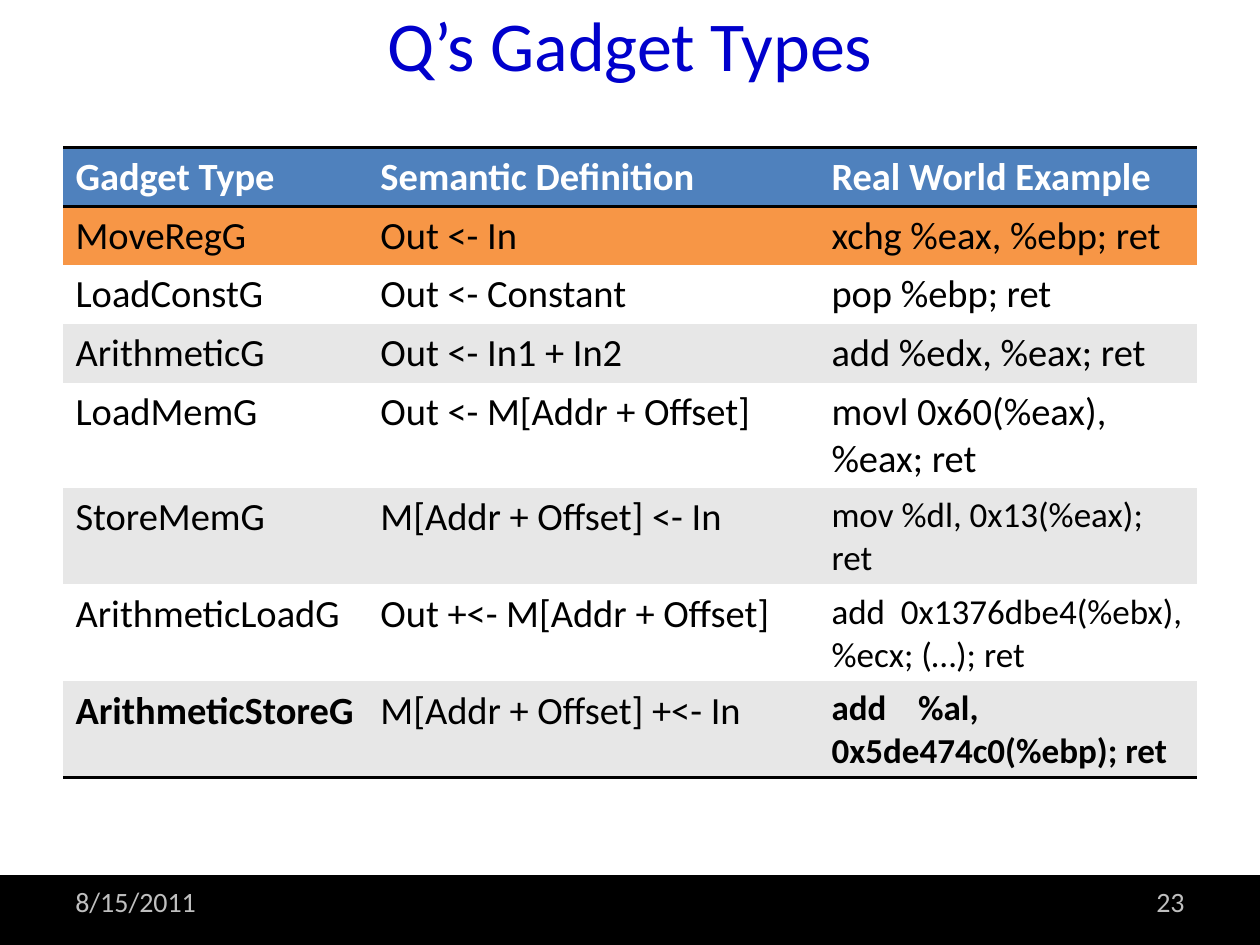
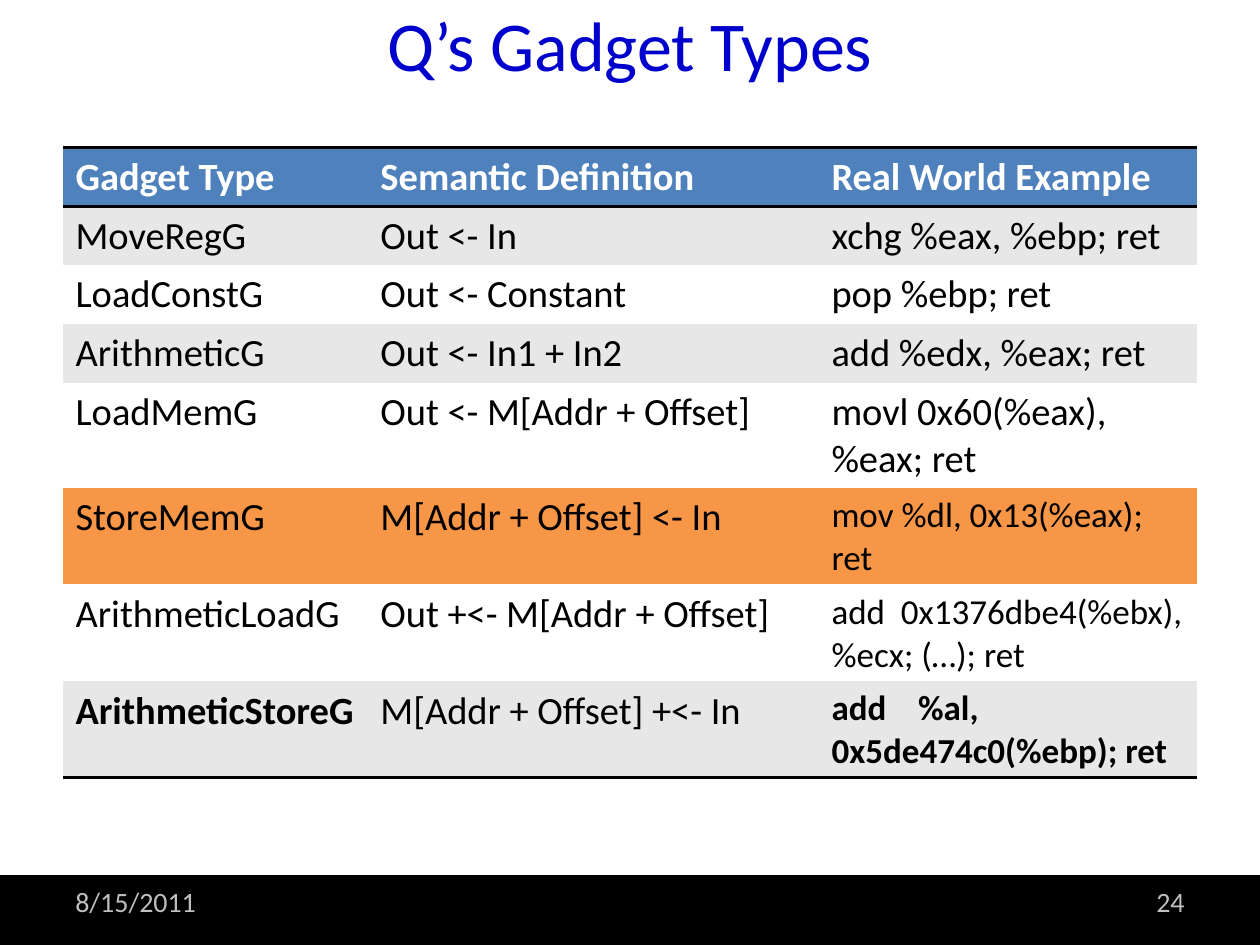
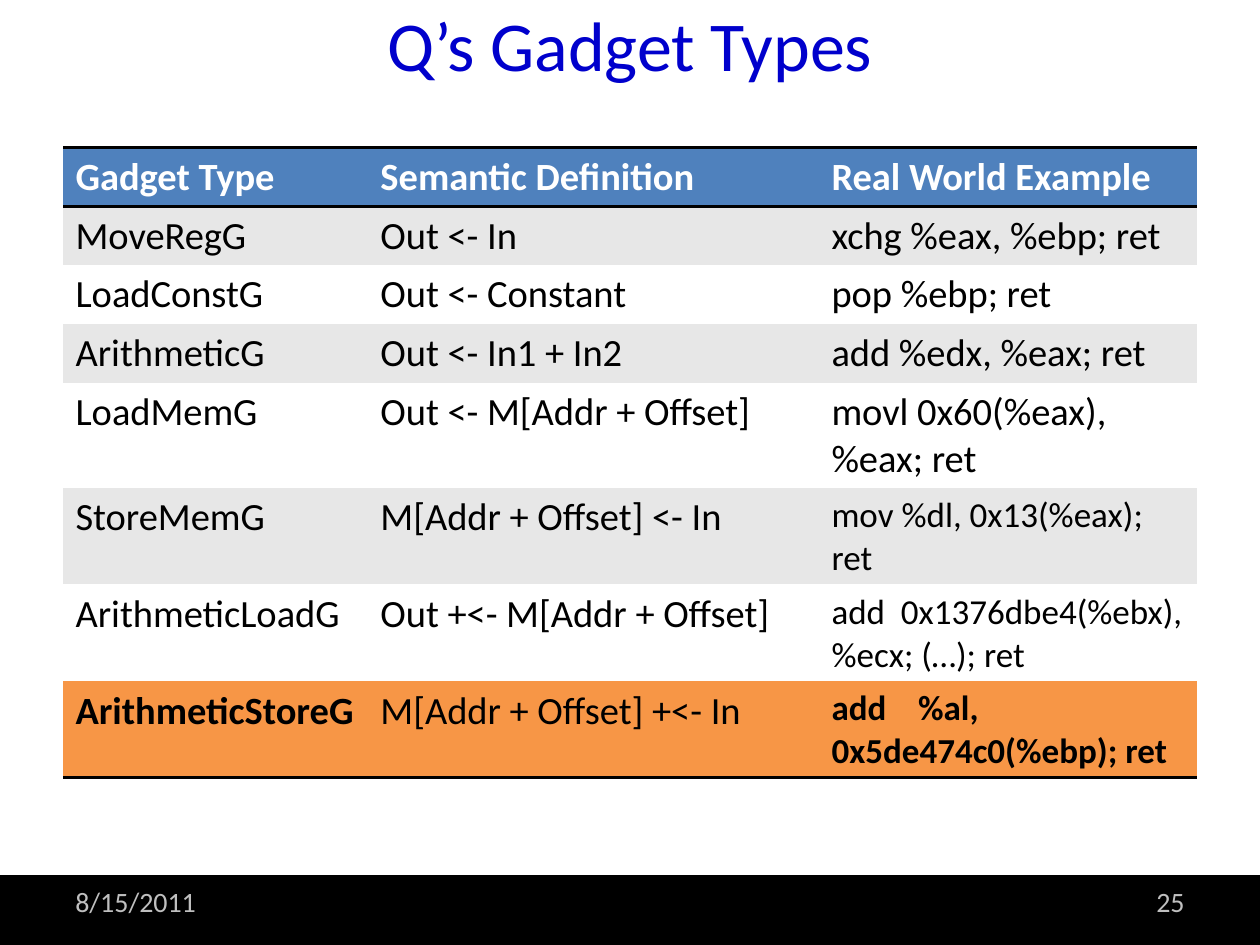
from dataclasses import dataclass
from typing import Any

import pptx
import pptx.dml.color
import pptx.enum.shapes
import pptx.enum.text
import pptx.oxml.ns
import pptx.slide
import pptx.table
import pptx.util
from lxml import etree

ALIGN = pptx.enum.text.PP_ALIGN


@dataclass(frozen=True)
class Theme:
    font: str = "Calibri"
    title: str = "0000CC"
    ink: str = "000000"
    paper: str = "FFFFFF"
    footer: str = "BFBFBF"
    header: str = "4F81BD"
    band: str = "E7E7E7"
    highlight: str = "F79646"
    title_size: int = 40
    footer_size: int = 16
    cell_size: int = 22
    code_size: int = 20
    rule_width: int = 2


@dataclass(frozen=True)
class Box:
    """A rectangle in inches."""
    left: float
    top: float
    width: float
    height: float

    def emu(self) -> list[int]:
        return [pptx.util.Inches(side) for side in (self.left, self.top, self.width, self.height)]


@dataclass(frozen=True)
class Label:
    box: Box
    text: str
    size: int
    color: str
    alignment: Any


@dataclass(frozen=True)
class Gadget:
    kind: str
    definition: str
    example: str
    small_example: bool = False
    bold: bool = False


THEME = Theme()

# Page grid
WIDTH, HEIGHT = 10, 7.5
MARGIN = WIDTH / 20
CONTENT = WIDTH - 2 * MARGIN
FOOTER_TOP = 6.95
FOOTER_WIDTH = 2.33
FOOTER_HEIGHT = 0.4
TITLE_BOX = Box(MARGIN, 0, CONTENT, 0.69)
BAND_BOX = Box(0, FOOTER_TOP, WIDTH, HEIGHT - FOOTER_TOP)
DATE_BOX = Box(MARGIN, FOOTER_TOP, FOOTER_WIDTH, FOOTER_HEIGHT)
NUMBER_BOX = Box(WIDTH - MARGIN - FOOTER_WIDTH, FOOTER_TOP, FOOTER_WIDTH, FOOTER_HEIGHT)
TABLE_BOX = Box(MARGIN, 1.17, CONTENT, 5)
COLUMN_WIDTHS = (2.42, 3.58, 3)
ROW_HEIGHT = 0.41

# Content
HEADINGS = ("Gadget Type", "Semantic Definition", "Real World Example")
GADGETS = (
    Gadget("MoveRegG", "Out <- In", "xchg %eax, %ebp; ret"),
    Gadget("LoadConstG", "Out <- Constant", "pop %ebp; ret"),
    Gadget("ArithmeticG", "Out <- In1 + In2", "add %edx, %eax; ret"),
    Gadget("LoadMemG", "Out <- M[Addr + Offset]", "movl 0x60(%eax), %eax; ret"),
    Gadget("StoreMemG", "M[Addr + Offset] <- In", "mov %dl, 0x13(%eax); ret", True),
    Gadget("ArithmeticLoadG", "Out +<- M[Addr + Offset]",
           "add  0x1376dbe4(%ebx), %ecx; (…); ret", True),
    Gadget("ArithmeticStoreG", "M[Addr + Offset] +<- In",
           "add    %al, 0x5de474c0(%ebp); ret", True, True),
)
HIGHLIGHTS = {23: "MoveRegG", 24: "StoreMemG", 25: "ArithmeticStoreG"}


def rgb(color: str) -> pptx.dml.color.RGBColor:
    return pptx.dml.color.RGBColor.from_string(color)


def write(frame: Any, text: str, size: int, color: str, bold: bool = False,
          alignment: Any = ALIGN.LEFT) -> None:
    paragraph = frame.paragraphs[0]
    paragraph.alignment = alignment
    run = paragraph.add_run()
    run.text = text
    formats = {"name": THEME.font, "size": pptx.util.Pt(size), "bold": bold}
    for name, value in formats.items():
        setattr(run.font, name, value)
    run.font.color.rgb = rgb(color)


def add_label(slide: pptx.slide.Slide, label: Label) -> None:
    frame = slide.shapes.add_textbox(*label.box.emu()).text_frame
    formats = {"word_wrap": True, "vertical_anchor": pptx.enum.text.MSO_ANCHOR.MIDDLE}
    for name, value in formats.items():
        setattr(frame, name, value)
    write(frame, label.text, label.size, label.color, alignment=label.alignment)


def add_page_frame(slide: pptx.slide.Slide, number: int) -> None:
    # Footer band
    band = slide.shapes.add_shape(pptx.enum.shapes.MSO_SHAPE.RECTANGLE, *BAND_BOX.emu())
    band.shadow.inherit = False
    band.fill.solid()
    band.fill.fore_color.rgb = rgb(THEME.ink)
    band.line.color.rgb = rgb(THEME.ink)
    band.line.width = pptx.util.Pt(0.75)

    # Title, date and page number
    for label in (
        Label(TITLE_BOX, "Q’s Gadget Types", THEME.title_size, THEME.title, ALIGN.CENTER),
        Label(DATE_BOX, "8/15/2011", THEME.footer_size, THEME.footer, ALIGN.LEFT),
        Label(NUMBER_BOX, str(number), THEME.footer_size, THEME.footer, ALIGN.RIGHT),
    ):
        add_label(slide, label)


def set_borders(cell: pptx.table._Cell, top: bool, bottom: bool) -> None:
    """Rule the chosen horizontal edges and clear the others."""
    qn = pptx.oxml.ns.qn
    properties = cell._tc.get_or_add_tcPr()
    edges = {"a:lnL": False, "a:lnR": False, "a:lnT": top, "a:lnB": bottom}
    for tag, ruled in edges.items():
        line = etree.SubElement(properties, qn(tag))
        if ruled:
            line.set("w", str(pptx.util.Pt(THEME.rule_width)))
            fill = etree.SubElement(line, qn("a:solidFill"))
            etree.SubElement(fill, qn("a:srgbClr"), val=THEME.ink)
        else:
            etree.SubElement(line, qn("a:noFill"))


def fill_row(table: pptx.table.Table, row: int, texts: tuple[str, ...], fill: str,
             color: str, sizes: tuple[int, ...], bolds: tuple[bool, ...]) -> None:
    ruled_edges = {0, 1, len(table.rows)}
    for column, (text, size, bold) in enumerate(zip(texts, sizes, bolds)):
        cell = table.cell(row, column)
        set_borders(cell, row in ruled_edges, row + 1 in ruled_edges)
        cell.fill.solid()
        cell.fill.fore_color.rgb = rgb(fill)
        write(cell.text_frame, text, size, color, bold)


def add_gadget_table(slide: pptx.slide.Slide, highlighted: str) -> None:
    graphic = slide.shapes.add_table(len(GADGETS) + 1, len(HEADINGS), *TABLE_BOX.emu())
    table = graphic.table
    table.horz_banding = False
    for column, width in zip(table.columns, COLUMN_WIDTHS):
        column.width = pptx.util.Inches(width)
    for row in table.rows:
        row.height = pptx.util.Inches(ROW_HEIGHT)
    graphic.height = pptx.util.Inches(TABLE_BOX.height)

    fill_row(table, 0, HEADINGS, THEME.header, THEME.paper,
             (THEME.cell_size,) * 3, (True,) * 3)
    for index, gadget in enumerate(GADGETS, start=1):
        fill = THEME.band if index % 2 else THEME.paper
        if gadget.kind == highlighted:
            fill = THEME.highlight
        example_size = THEME.code_size if gadget.small_example else THEME.cell_size
        fill_row(table, index, (gadget.kind, gadget.definition, gadget.example), fill,
                 THEME.ink, (THEME.cell_size, THEME.cell_size, example_size),
                 (gadget.bold, False, gadget.bold))


def main() -> None:
    presentation = pptx.Presentation()
    presentation.slide_width = pptx.util.Inches(WIDTH)
    presentation.slide_height = pptx.util.Inches(HEIGHT)
    blank = presentation.slide_layouts[6]
    for number, highlighted in HIGHLIGHTS.items():
        slide = presentation.slides.add_slide(blank)
        add_page_frame(slide, number)
        add_gadget_table(slide, highlighted)
    presentation.save("out.pptx")


if __name__ == "__main__":
    main()
